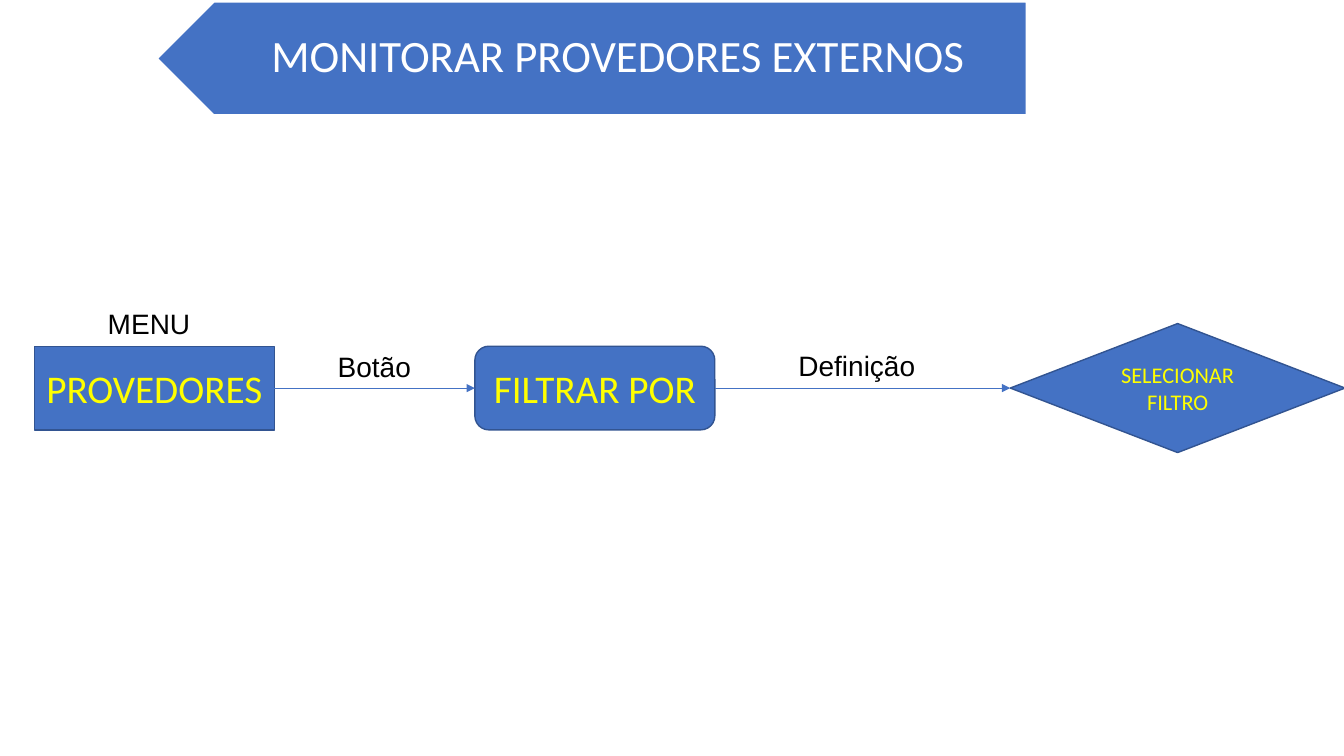
"""Builds the flow slide for monitoring external providers."""
from dataclasses import dataclass

from lxml.etree import SubElement
from pptx import Presentation
from pptx.dml.color import RGBColor
from pptx.enum.shapes import MSO_CONNECTOR as Connector, MSO_SHAPE as Shape
from pptx.enum.text import MSO_ANCHOR as Anchor, MSO_AUTO_SIZE as AutoSize, PP_ALIGN as Align
from pptx.oxml.ns import qn
from pptx.util import Inches, Pt


@dataclass(frozen=True)
class Theme:
    blue: RGBColor = RGBColor(0x44, 0x72, 0xC4)
    outline: RGBColor = RGBColor(0x32, 0x54, 0x91)
    white: RGBColor = RGBColor(0xFF, 0xFF, 0xFF)
    yellow: RGBColor = RGBColor(0xFF, 0xFF, 0x00)
    black: RGBColor = RGBColor(0x00, 0x00, 0x00)
    flow_font: str = "Calibri"
    label_font: str = "Arial"
    title_size: int = 32
    step_size: int = 28
    decision_size: int = 16
    label_size: int = 20


theme = Theme()


def write(shape, text, font, size, color, align):
    shape.text_frame.text = text
    paragraph = shape.text_frame.paragraphs[0]
    paragraph.alignment = align
    paragraph.font.name = font
    paragraph.font.size = Pt(size)
    paragraph.font.color.rgb = color
    return paragraph


def add_block(kind, left, top, width, height, outline):
    shape = slide.shapes.add_shape(kind, Inches(left), Inches(top), Inches(width), Inches(height))
    shape.shadow.inherit = False
    shape.fill.solid()
    shape.fill.fore_color.rgb = theme.blue
    shape.line.color.rgb = outline
    shape.line.width = Pt(1)
    return shape


presentation = Presentation()
presentation.slide_width = Inches(13.33)
presentation.slide_height = Inches(7.5)
slide = presentation.slides.add_slide(presentation.slide_layouts[5])

banner = add_block(Shape.PENTAGON, 1.56, 0.02, 8.62, 1.12, theme.white)
banner.rotation = 180

title = slide.shapes.title
title.element.addprevious(banner.element)
title.left, title.top, title.width, title.height = (Inches(n) for n in (1.84, 0.02, 8.34, 1.12))
heading = write(title, "MONITORAR PROVEDORES EXTERNOS", theme.flow_font,
                theme.title_size, theme.white, Align.CENTER)
heading.line_spacing = 0.9
frame = title.text_frame
frame.auto_size = AutoSize.NONE
frame.vertical_anchor = Anchor.MIDDLE
frame.margin_left, frame.margin_right = Inches(0.49), Inches(0.25)
frame.margin_top = frame.margin_bottom = Inches(0.13)

flow_middle = 3.85
steps = []
for kind, text, left, width, height, size in (
    (Shape.FLOWCHART_PROCESS, "PROVEDORES", 0.34, 2.38, 0.83, theme.step_size),
    (Shape.FLOWCHART_ALTERNATE_PROCESS, "FILTRAR POR", 4.71, 2.38, 0.83, theme.step_size),
    (Shape.FLOWCHART_DECISION, "SELECIONAR FILTRO", 10.02, 3.32, 1.28, theme.decision_size),
):
    step = add_block(kind, left, flow_middle - height / 2, width, height, theme.outline)
    step.text_frame.vertical_anchor = Anchor.MIDDLE
    write(step, text, theme.flow_font, size, theme.yellow, Align.CENTER)
    steps.append(step)

for kind, source, target in zip((Connector.STRAIGHT, Connector.ELBOW), steps, steps[1:]):
    arrow = slide.shapes.add_connector(kind, 0, 0, 0, 0)
    arrow.begin_connect(source, 3)
    arrow.end_connect(target, 1)
    arrow.line.color.rgb = theme.blue
    arrow.line.width = Pt(0.5)
    SubElement(arrow.line._get_or_add_ln(), qn("a:tailEnd"), type="triangle")
    SubElement(arrow.element.spPr, qn("a:effectLst"))

for text, left, top, width in (
    ("MENU", 0.97, 2.99, 1.13),
    ("Botão", 3.25, 3.42, 0.95),
    ("Definição", 7.82, 3.41, 1.87),
):
    label = slide.shapes.add_textbox(Inches(left), Inches(top), Inches(width), Inches(0.44))
    label.text_frame.word_wrap = True
    label.text_frame.auto_size = AutoSize.SHAPE_TO_FIT_TEXT
    write(label, text, theme.label_font, theme.label_size, theme.black, Align.LEFT)

presentation.save("out.pptx")
